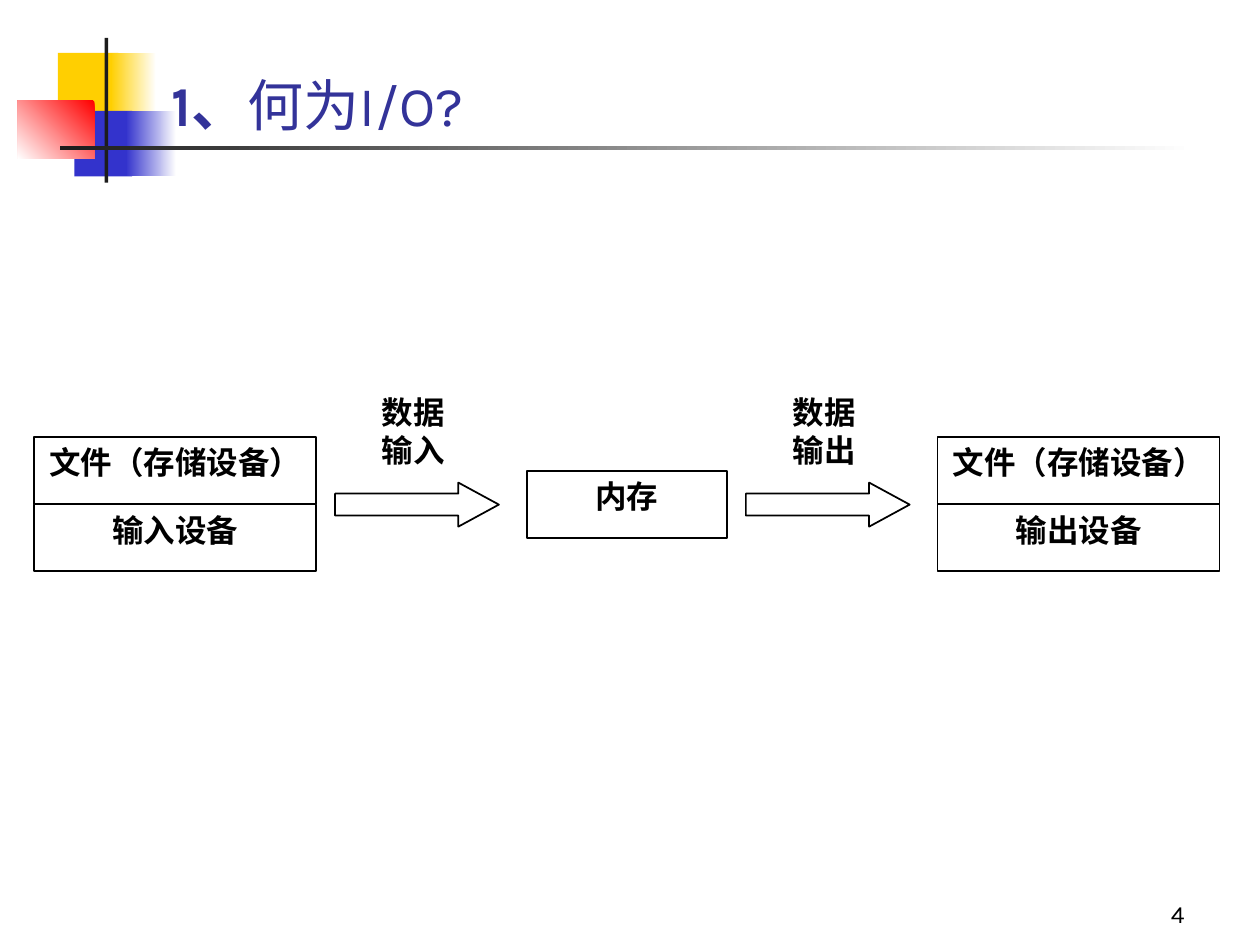
from pptx import Presentation
from pptx.dml.color import RGBColor
from pptx.enum.shapes import MSO_SHAPE
from pptx.enum.text import MSO_ANCHOR, MSO_AUTO_SIZE, PP_ALIGN
from pptx.util import Inches, Pt

RECT, ARROW = MSO_SHAPE.RECTANGLE, MSO_SHAPE.RIGHT_ARROW
TOP, BOTTOM = MSO_ANCHOR.TOP, MSO_ANCHOR.BOTTOM
LEFT, CENTER, RIGHT = PP_ALIGN.LEFT, PP_ALIGN.CENTER, PP_ALIGN.RIGHT

COLORS = {"white": "FFFFFF", "black": "000000", "dark": "1C1C1C", "title": "333399",
          "yellow": "FFCF01", "blue": "3333CC", "red": "FF0000"}
TITLE_FONT, BODY_FONT = "Karla", "Courier New"

# Content
TITLE = [("1、", True), ("何为I/O?", False)]
PAGE = "4"
DEVICES = [  # left edge, stacked boxes
    (0.27, ["文件（存储设备）", "输入设备"]),
    (7.44, ["文件（存储设备）", "输出设备"]),
]
MEMORY = "内存"
FLOWS = [(2.66, ["数据", "输入"]), (5.92, ["数据", "输出"])]  # arrow left edge, label

# Corner ornament: left, top, width, height, colours, gradient angle
ORNAMENT = [
    (0.46, 0.42, 0.48, 0.52, ["yellow"], None),
    (0.88, 0.42, 0.36, 0.52, ["white", "yellow"], 180),
    (0.59, 0.88, 0.46, 0.52, ["blue"], None),
    (1.0, 0.88, 0.4, 0.52, ["white", "blue"], 180),
    (0.14, 0.8, 0.61, 0.46, ["red", "white"], 225),
    (0.83, 0.3, 0.03, 1.15, ["dark"], None),
    (0.48, 1.16, 9, 0.03, ["white", "dark"], 180),
]

# Diagram grid
BOX_W, BOX_H, ROW = 2.24, 0.53, 0.535
STACK_TOP = 3.47
AXIS = STACK_TOP + ROW
MEMORY_X, MEMORY_W = 4.18, 1.59
ARROW_W, ARROW_H = 1.3, 0.35
LABEL_W, LABEL_H = 0.8, 0.71


def rgb(name):
    return RGBColor.from_string(COLORS[name])


def add_shape(s, kind, x, y, w, h):
    sp = s.shapes.add_shape(kind, Inches(x), Inches(y), Inches(w), Inches(h))
    sp.shadow.inherit = False
    return sp


def outline(sp):
    sp.fill.background()
    sp.line.color.rgb = rgb("black")
    sp.line.width = Pt(1)


def write(tf, lines, size=18, font=BODY_FONT, bold=True, align=CENTER, anchor=TOP):
    tf.word_wrap = True
    tf.vertical_anchor = anchor
    for i, line in enumerate(lines):
        p = tf.paragraphs[0] if i == 0 else tf.add_paragraph()
        p.text = line
        p.alignment = align
        p.font.size, p.font.name, p.font.bold = Pt(size), font, bold
        p.font.color.rgb = rgb("black")


def add_box(s, x, y, w, text):
    sp = add_shape(s, RECT, x, y, w, BOX_H)
    outline(sp)
    write(sp.text_frame, [text])


def add_text(s, x, y, w, h):
    return s.shapes.add_textbox(Inches(x), Inches(y), Inches(w), Inches(h)).text_frame


def main():
    prs = Presentation()
    prs.slide_width, prs.slide_height = Inches(10), Inches(7.5)
    s = prs.slides.add_slide(prs.slide_layouts[5])

    # Corner ornament and rules
    for x, y, w, h, colors, angle in ORNAMENT:
        sp = add_shape(s, RECT, x, y, w, h)
        sp.line.fill.background()
        if angle is None:
            sp.fill.solid()
            sp.fill.fore_color.rgb = rgb(colors[0])
        else:
            sp.fill.gradient()
            sp.fill.gradient_angle = angle
            for stop, color in zip(sp.fill.gradient_stops, colors):
                stop.color.rgb = rgb(color)

    # Title, brought in front of the ornament
    title = s.shapes.title
    title.element.getparent().append(title.element)
    title.left, title.top = Inches(1.26), Inches(-0.11)
    title.width, title.height = Inches(8.52), Inches(1.25)
    tf = title.text_frame
    tf.auto_size = MSO_AUTO_SIZE.NONE
    tf.vertical_anchor = BOTTOM
    p = tf.paragraphs[0]
    p.alignment = LEFT
    p.font.size, p.font.name = Pt(32), TITLE_FONT
    p.font.color.rgb = rgb("title")
    for text, bold in TITLE:
        r = p.add_run()
        r.text, r.font.bold = text, bold

    # Devices on both sides of the memory
    for x, names in DEVICES:
        for row, name in enumerate(names):
            add_box(s, x, STACK_TOP + row * ROW, BOX_W, name)
    add_box(s, MEMORY_X, AXIS - BOX_H / 2, MEMORY_W, MEMORY)

    # Data flow arrows with their labels above
    for x, label in FLOWS:
        arrow_top = AXIS - ARROW_H / 2
        arrow = add_shape(s, ARROW, x, arrow_top, ARROW_W, ARROW_H)
        arrow.adjustments[0], arrow.adjustments[1] = 0.5, 0.92
        outline(arrow)
        tf = add_text(s, x + 0.22, arrow_top - LABEL_H, LABEL_W, LABEL_H)
        tf.margin_left = tf.margin_right = tf.margin_top = tf.margin_bottom = 0
        write(tf, label)

    # Page number
    write(add_text(s, 7.42, 6.92, 2.08, 0.5), [PAGE], 14, TITLE_FONT, False, RIGHT, BOTTOM)

    prs.save("out.pptx")


if __name__ == "__main__":
    main()
